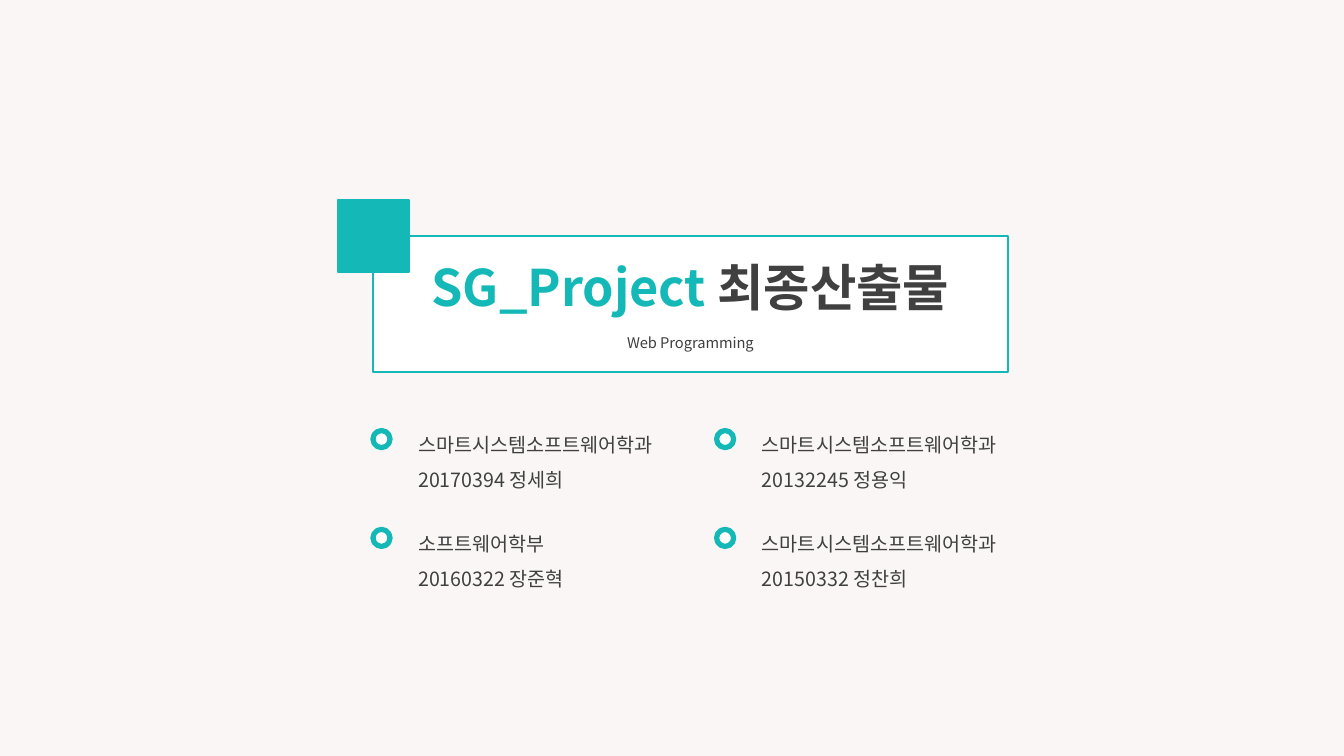
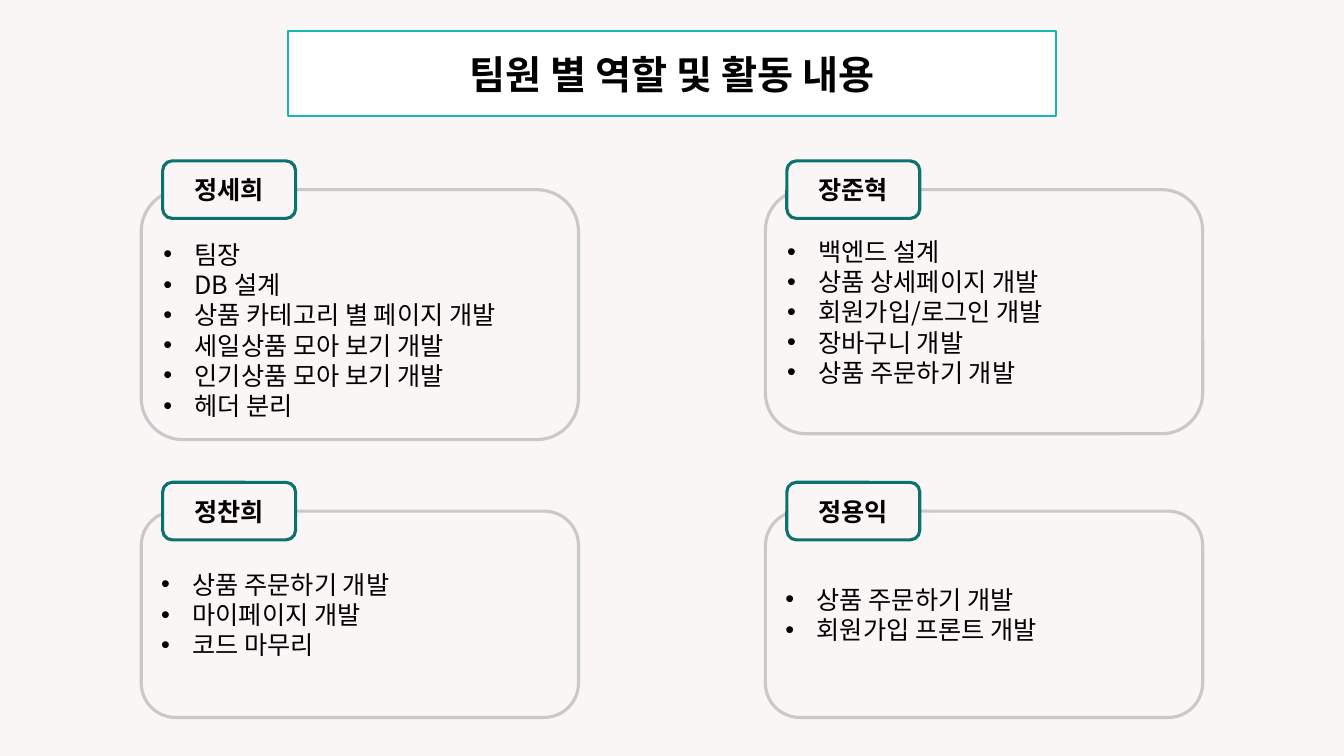
import pptx
import pptx.util
import pptx.dml.color
import pptx.enum.shapes
import pptx.enum.text
import pptx.oxml.ns
import lxml.etree

Cm, Pt = pptx.util.Cm, pptx.util.Pt
KIND = pptx.enum.shapes.MSO_SHAPE
ALIGN = pptx.enum.text.PP_ALIGN
FONT = "Noto Sans CJK KR"
COLORS = {"back": "F9F6F5", "white": "FFFFFF", "teal": "14B9B7",
          "deep": "0C7270", "gray": "C9C9C9", "dark": "404040", "black": "000000"}


def rgb(name):
    return pptx.dml.color.RGBColor.from_string(COLORS[name])


def add_tag(parent, tag, **attrs):
    return lxml.etree.SubElement(parent, pptx.oxml.ns.qn(tag), attrs)


class Deck:
    def __init__(self):
        self.prs = pptx.Presentation()
        self.prs.slide_width, self.prs.slide_height = Cm(33.87), Cm(19.05)
        back = self.prs.slide_master.background.fill
        back.solid()
        back.fore_color.rgb = rgb("back")
        self.slide = None

    def paint(self, shape, fill, line, width):
        if fill:
            shape.fill.solid()
            shape.fill.fore_color.rgb = rgb(fill)
        else:
            shape.fill.background()
        shape.line.color.rgb = rgb(line)
        shape.line.width = Pt(width)

    def style(self, para, size, color="black", bold=False, align=ALIGN.LEFT, space=1.0):
        para.alignment = align
        para.line_spacing = space
        para.space_before = Pt(0)
        font = para.font
        font.name, font.size, font.bold = FONT, Pt(size), bold
        font.color.rgb = rgb(color)
        props = para._p.pPr.find(pptx.oxml.ns.qn("a:defRPr"))
        add_tag(props, "a:ea", typeface=FONT)

    def page(self, x, y, w, h, parts, size):
        """Start a slide with a framed title; parts are (text, color) pairs."""
        self.slide = self.prs.slides.add_slide(self.prs.slide_layouts[5])
        title = self.slide.shapes.title
        title.left, title.top, title.width, title.height = Cm(x), Cm(y), Cm(w), Cm(h)
        self.paint(title, "white", "teal", 1.5)
        frame = title.text_frame
        frame.auto_size = pptx.enum.text.MSO_AUTO_SIZE.NONE
        frame.vertical_anchor = pptx.enum.text.MSO_ANCHOR.MIDDLE
        para = frame.paragraphs[0]
        self.style(para, size, bold=True, align=ALIGN.CENTER)
        for text, color in parts:
            run = para.add_run()
            run.text = text
            run.font.color.rgb = rgb(color)
        return frame

    def shape(self, kind, x, y, w, h, fill, line, width):
        shape = self.slide.shapes.add_shape(kind, Cm(x), Cm(y), Cm(w), Cm(h))
        shape.shadow.inherit = False
        self.paint(shape, fill, line, width)
        return shape

    def text(self, frame, lines, size, bullet=False, **look):
        frame.word_wrap = True
        for i, line in enumerate(lines):
            para = frame.add_paragraph() if i else frame.paragraphs[0]
            para.text = line
            if bullet:
                props = para._p.get_or_add_pPr()
                props.set("marL", str(Cm(0.79)))
                props.set("indent", str(Cm(-0.79)))
                add_tag(props, "a:buFont", typeface="Arial")
                add_tag(props, "a:buChar", char="•")
            self.style(para, size, **look)

    def member(self, x, y, lines):
        self.shape(KIND.OVAL, x, y, 0.43, 0.43, "white", "teal", 3.75)
        box = self.slide.shapes.add_textbox(Cm(x + 0.89), Cm(y - 0.36), Cm(6.99), Cm(1.93))
        self.text(box.text_frame, lines, 14, color="dark", space=1.5)

    def panel(self, x, y, h, name, tasks, drop):
        """Outlined task list with a name tag centred on its top edge."""
        frame = self.shape(KIND.ROUNDED_RECTANGLE, x, y, 11.02, h,
                           None, "gray", 2.25).text_frame
        frame.margin_top = Cm(0.13 + drop)
        self.text(frame, tasks, 18, bullet=True)
        tall = 1.45
        tag = self.shape(KIND.ROUNDED_RECTANGLE, x + 0.54, y - tall / 2, 3.35, tall,
                         "back", "deep", 2.25)
        self.text(tag.text_frame, [name], 18, bold=True, align=ALIGN.CENTER)


def main():
    deck = Deck()

    # Cover
    frame = deck.page(9.4, 5.94, 16, 3.43,
                      [("SG_Project ", "teal"), ("최종산출물", "dark")], 36)
    sub = frame.add_paragraph()
    sub.text = "Web Programming"
    deck.style(sub, 10.5, "dark", align=ALIGN.CENTER)
    sub.space_before = Pt(12.5)
    deck.shape(KIND.RECTANGLE, 8.51, 5.05, 1.8, 1.8, "teal", "teal", 1.5)

    smart = "스마트시스템소프트웨어학과"
    team = [(smart, "20170394 정세희"), (smart, "20132245 정용익"),
            ("소프트웨어학부", "20160322 장준혁"), (smart, "20150332 정찬희")]
    for i, lines in enumerate(team):
        row, col = divmod(i, 2)
        deck.member(9.4 + col * 8.66, 10.85 + row * 2.49, lines)

    # Roles
    deck.page(7.26, 0.79, 19.35, 2.13, [("팀원 별 역할 및 활동 내용", "black")], 28)
    roles = [
        ("정세희", 6.3, 0.76, ["팀장", "DB 설계", "상품 카테고리 별 페이지 개발",
                            "세일상품 모아 보기 개발", "인기상품 모아 보기 개발", "헤더 분리"]),
        ("장준혁", 6.15, 0, ["백엔드 설계", "상품 상세페이지 개발", "회원가입/로그인 개발",
                          "장바구니 개발", "상품 주문하기 개발"]),
        ("정찬희", 5.2, 0, ["상품 주문하기 개발", "마이페이지 개발", "코드 마무리"]),
        ("정용익", 5.2, 0, ["상품 주문하기 개발", "회원가입 프론트 개발"]),
    ]
    for i, (name, h, drop, tasks) in enumerate(roles):
        row, col = divmod(i, 2)
        deck.panel(3.56 + col * 15.73, 4.78 + row * 8.1, h, name, tasks, drop)

    deck.prs.save("out.pptx")


if __name__ == "__main__":
    main()
